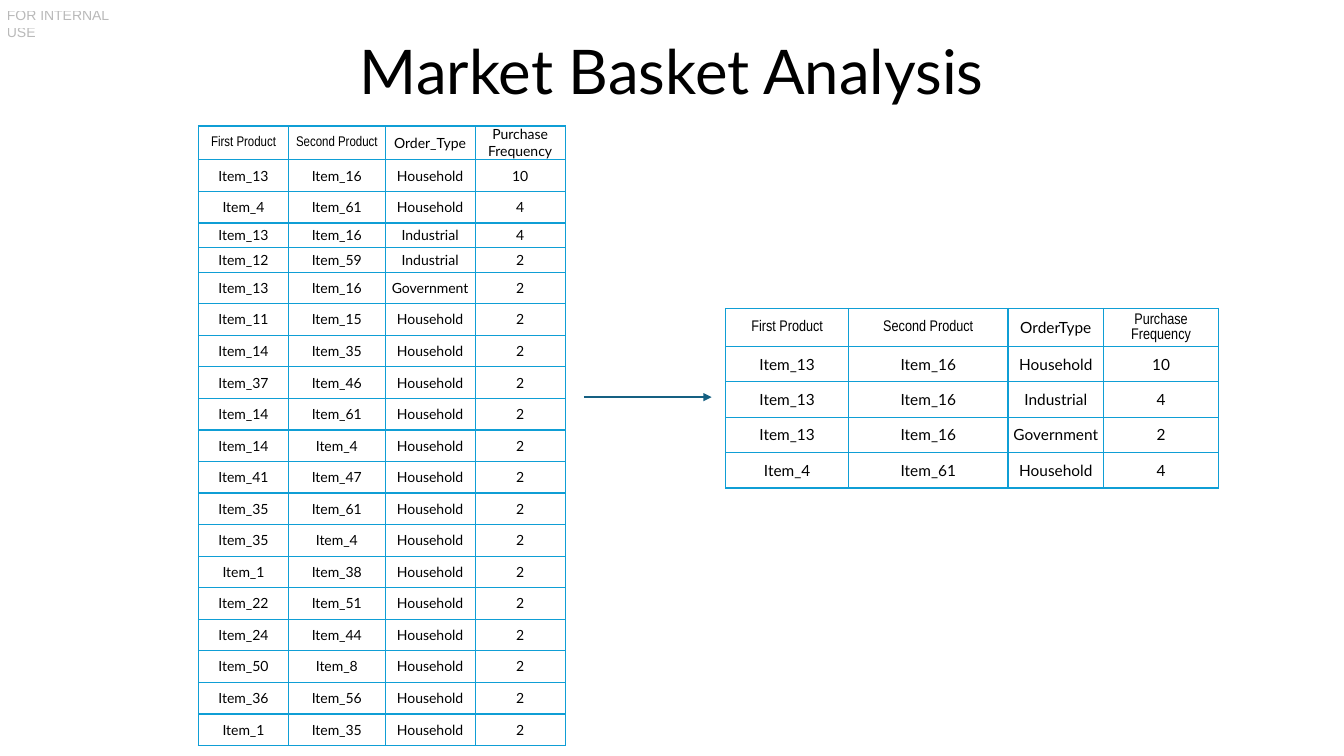
from lxml.etree import SubElement as Sub
from pptx import Presentation
from pptx.dml.color import RGBColor as Rgb
from pptx.enum.shapes import MSO_CONNECTOR as Link
from pptx.enum.text import MSO_ANCHOR as Anchor, PP_ALIGN as Align
from pptx.oxml.ns import qn
from pptx.util import Pt

COLORS = {"ink": "000000", "label": "747474", "grid": "0F9ED5", "arrow": "156082"}
LATO, NARROW = "Lato", "Arial Narrow"

PAIRS = [
    (13, 16, "Household", 10),
    (4, 61, "Household", 4),
    (13, 16, "Industrial", 4),
    (12, 59, "Industrial", 2),
    (13, 16, "Government", 2),
] + [
    (first, second, "Household", 2)
    for first, second in [
        (11, 15), (14, 35), (37, 46), (14, 61), (14, 4), (41, 47), (35, 61),
        (35, 4), (1, 38), (22, 51), (24, 44), (50, 8), (36, 56), (1, 35),
    ]
]
TOP_PAIRS = [PAIRS[i] for i in (0, 2, 4, 1)]


class Board:
    def __init__(self, slide, colors):
        self.slide = slide
        self.colors = colors

    def color(self, name):
        return Rgb.from_string(self.colors[name])

    def add_run(self, para, text, size, font, color="ink"):
        run = para.add_run()
        run.text = text
        run.font.size = Pt(size)
        run.font.name = font
        run.font.color.rgb = self.color(color)
        return run

    def text(self, box, text, size, font, color="ink", anchor=Anchor.TOP,
             align=Align.LEFT, spacing=1.0, alpha=100):
        frame = self.slide.shapes.add_textbox(*map(Pt, box)).text_frame
        frame.word_wrap = True
        frame.vertical_anchor = anchor
        frame.margin_left = frame.margin_right = 0
        frame.margin_top = frame.margin_bottom = 0
        para = frame.paragraphs[0]
        para.alignment = align
        para.line_spacing = spacing
        run = self.add_run(para, text, size, font, color)
        if alpha < 100:
            tint = run._r.xpath(".//a:srgbClr")[0]
            Sub(tint, qn("a:alpha"), val=str(alpha * 1000))

    def border(self, cell):
        props = cell._tc.get_or_add_tcPr()
        for side in ("a:lnL", "a:lnR", "a:lnT", "a:lnB"):
            line = Sub(props, qn(side), w=str(Pt(1)))
            fill = Sub(line, qn("a:solidFill"))
            Sub(fill, qn("a:srgbClr"), val=self.colors["grid"])

    def cell(self, cell, text, size, font, pads):
        self.border(cell)
        cell.fill.background()
        cell.vertical_anchor = Anchor.MIDDLE
        (cell.margin_left, cell.margin_top,
         cell.margin_right, cell.margin_bottom) = map(Pt, pads)
        para = cell.text_frame.paragraphs[0]
        para.alignment = Align.CENTER
        self.add_run(para, text, size, font)

    def table(self, left, top, widths, heights, heads, pairs, size, head_pads, pads):
        shape = self.slide.shapes.add_table(
            len(heights), len(widths), Pt(left), Pt(top),
            Pt(sum(widths)), Pt(sum(heights)))
        table = shape.table
        table.first_row = table.horz_banding = False
        for column, width in zip(table.columns, widths):
            column.width = Pt(width)
        for row, height in zip(table.rows, heights):
            row.height = Pt(height)
        for c, (text, font) in enumerate(heads):
            self.cell(table.cell(0, c), text, size, font, head_pads)
        for r, (first, second, kind, count) in enumerate(pairs, 1):
            texts = (f"Item_{first}", f"Item_{second}", kind, str(count))
            for c, text in enumerate(texts):
                self.cell(table.cell(r, c), text, size, LATO, pads)

    def arrow(self, left, right, y):
        link = self.slide.shapes.add_connector(
            Link.STRAIGHT, Pt(left), Pt(y), Pt(right), Pt(y))
        link.line.color.rgb = self.color("arrow")
        link.line.width = Pt(1.5)
        Sub(link.line._get_or_add_ln(), qn("a:tailEnd"), type="triangle")
        Sub(link._element.spPr, qn("a:effectLst"))


def main():
    deck = Presentation()
    deck.slide_width, deck.slide_height = Pt(960), Pt(540)
    board = Board(deck.slides.add_slide(deck.slide_layouts[6]), COLORS)

    board.text((5, 5, 88, 12), "FOR INTERNAL USE", 10, "Arial", "label", alpha=50)
    board.text((66, 1, 828, 104), "Market Basket Analysis", 44, LATO,
               anchor=Anchor.MIDDLE, align=Align.CENTER, spacing=0.9)

    board.table(
        518.4, 220.3, [87.8, 113.8, 68.4, 82], [27] + [25.3] * len(TOP_PAIRS),
        [("First Product", NARROW), ("Second Product", NARROW),
         ("OrderType", LATO), ("Purchase Frequency", NARROW)],
        TOP_PAIRS, 11, (0.7, 0.7, 0.7, 0), (0.7, 5.7, 0.7, 5.7))

    heights = [17.6 if kind == "Industrial" else 22.55 for _, _, kind, _ in PAIRS]
    board.table(
        141.8, 90, [64.3, 69, 64.3, 64.3], [24.2] + heights,
        [("First Product", NARROW), ("Second Product", NARROW),
         ("Order_Type", LATO), ("Purchase Frequency", LATO)],
        PAIRS, 10, (0, 0, 0, 0), (0, 2.8, 0, 2.8))

    board.arrow(417, 508.3, 283.7)
    deck.save("out.pptx")


if __name__ == "__main__":
    main()
